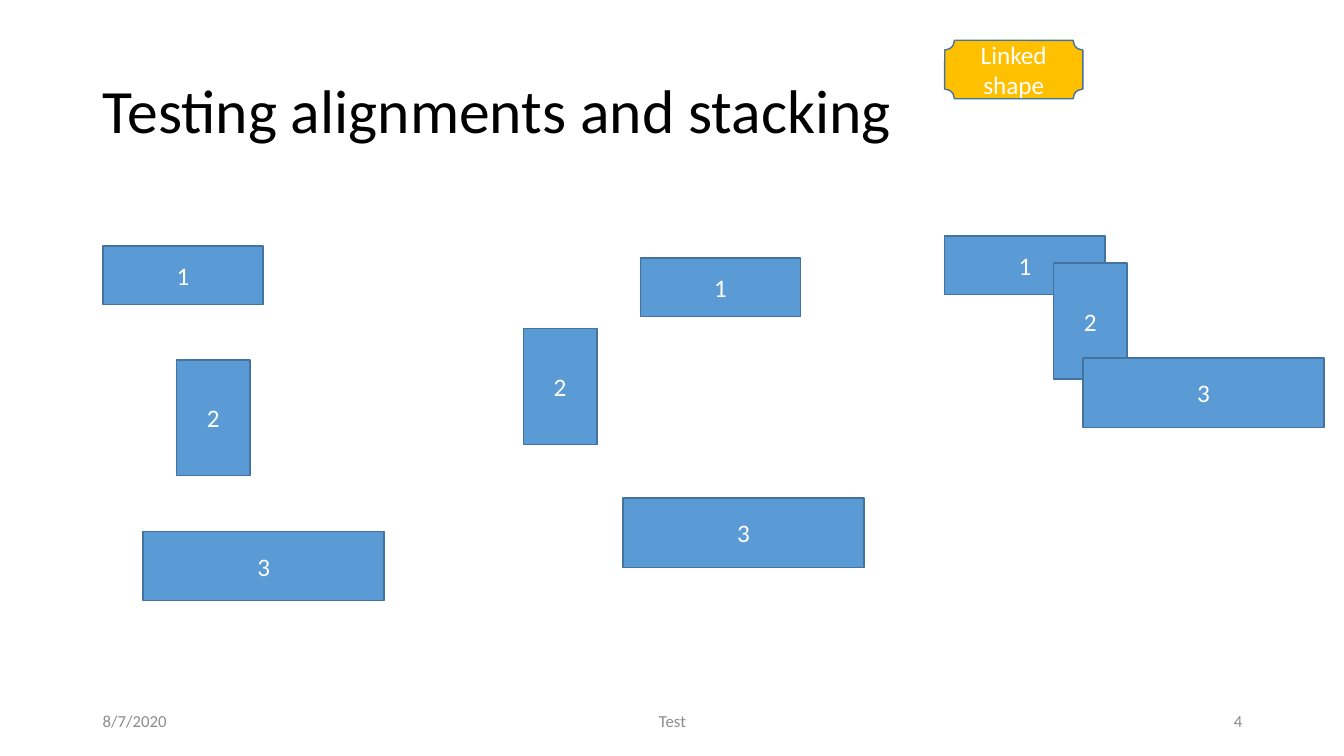
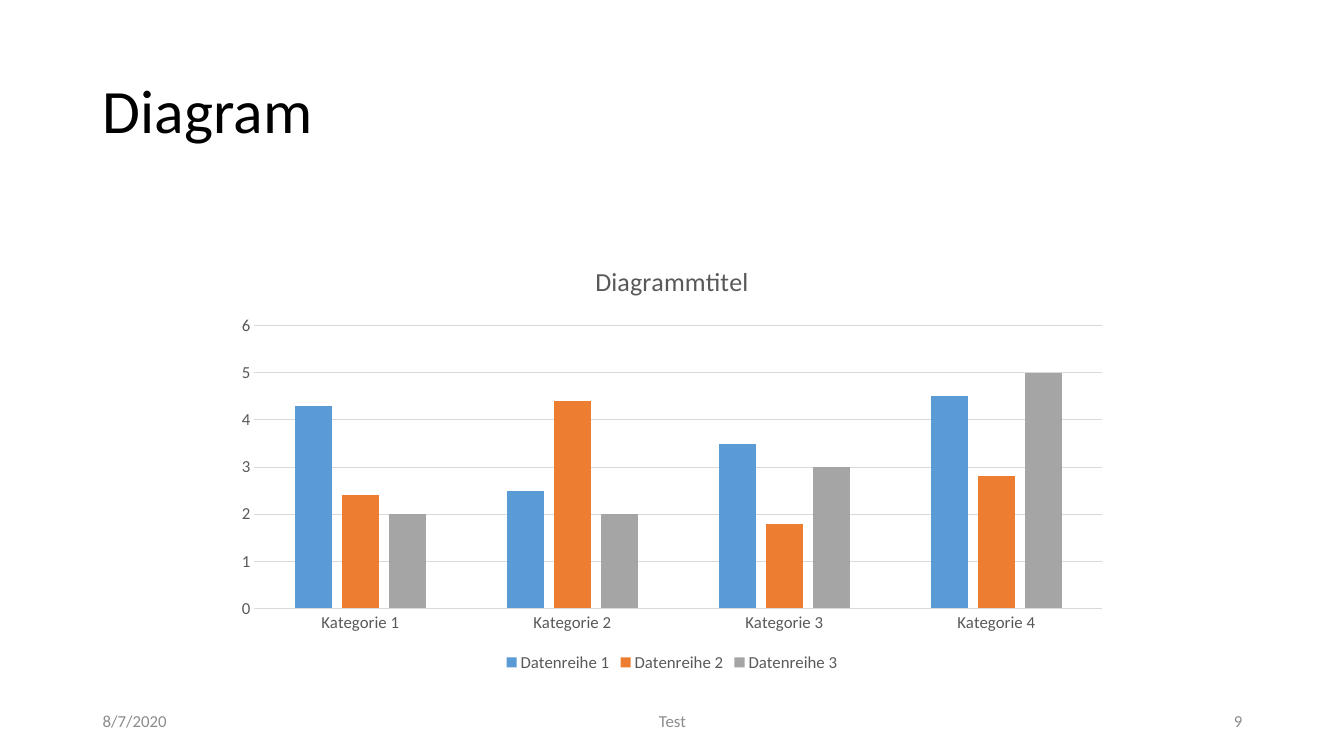
"""Build two test slides: stacked shapes and a column chart."""
from dataclasses import dataclass

from pptx import Presentation
from pptx import util as u
from pptx.chart import data as cd
from pptx.dml.color import RGBColor
from pptx.enum import chart as ch
from pptx.enum import shapes, text


@dataclass(frozen=True)
class Theme:
    font: str = "Calibri"
    title: str = "000000"
    footer: str = "8C8C8C"
    label: str = "FFFFFF"
    box: str = "5B9BD5"
    outline: str = "43739E"
    plaque: str = "FFC000"
    chart_text: str = "595959"
    grid: str = "D9D9D9"
    series: tuple[str, ...] = ("5B9BD5", "ED7D31", "A5A5A5")
    title_size: float = 44
    label_size: float = 18
    chart_title_size: float = 18.6
    small_size: float = 12


@dataclass(frozen=True)
class Area:
    x: float
    y: float
    w: float
    h: float

    def lengths(self) -> tuple[u.Length, ...]:
        return tuple(u.Inches(v) for v in (self.x, self.y, self.w, self.h))


@dataclass(frozen=True)
class Label:
    words: str
    area: Area
    fill: str
    kind: shapes.MSO_SHAPE = shapes.MSO_SHAPE.RECTANGLE


THEME = Theme()
TITLE = Area(0.92, 0.4, 11.5, 1.45)
FOOTER_Y, FOOTER_H = 6.95, 0.4
BOX_SIZES = ((1.59, 0.58), (0.73, 1.15), (2.39, 0.69))
BOX_GROUPS = (
    ((1.02, 2.44), (1.75, 3.57), (1.42, 5.27)),
    ((6.35, 2.56), (5.19, 3.26), (6.18, 4.94)),
    ((9.37, 2.34), (10.45, 2.61), (10.74, 3.55)),
)
LINKED = Label("Linked shape", Area(9.37, 0.4, 1.37, 0.58), THEME.plaque,
               shapes.MSO_SHAPE.PLAQUE)
CHART_AREA = Area(2.22, 2.43, 8.89, 4.28)
SERIES_VALUES = ((4.3, 2.5, 3.5, 4.5), (2.4, 4.4, 1.8, 2.8), (2, 2, 3, 5))


def rgb(code: str) -> RGBColor:
    return RGBColor.from_string(code)


def style_font(font, size: float, color: str) -> None:
    font.name = THEME.font
    font.size = u.Pt(size)
    font.bold = False
    font.color.rgb = rgb(color)


def write(tf, words: str, size: float, color: str, align: text.PP_ALIGN):
    tf.word_wrap = True
    tf.auto_size = text.MSO_AUTO_SIZE.NONE
    tf.vertical_anchor = text.MSO_ANCHOR.MIDDLE
    p = tf.paragraphs[0]
    p.alignment = align
    r = p.add_run()
    r.text = words
    style_font(r.font, size, color)
    return p


def add_footer(s, number: int) -> None:
    parts = (
        ("8/7/2020", 0.92, 3, text.PP_ALIGN.LEFT),
        ("Test", 4.42, 4.5, text.PP_ALIGN.CENTER),
        (str(number), 9.42, 3, text.PP_ALIGN.RIGHT),
    )
    for words, x, w, align in parts:
        sp = s.shapes.add_textbox(*Area(x, FOOTER_Y, w, FOOTER_H).lengths())
        write(sp.text_frame, words, THEME.small_size, THEME.footer, align)


def add_slide(prs, title: str, number: int):
    s = prs.slides.add_slide(prs.slide_layouts.get_by_name("Title Only"))
    sp = s.shapes.title
    sp.left, sp.top, sp.width, sp.height = TITLE.lengths()
    p = write(sp.text_frame, title, THEME.title_size, THEME.title, text.PP_ALIGN.LEFT)
    p.line_spacing = 0.9
    add_footer(s, number)
    return s


def add_label(s, label: Label) -> None:
    sp = s.shapes.add_shape(label.kind, *label.area.lengths())
    sp.shadow.inherit = False
    sp.fill.solid()
    sp.fill.fore_color.rgb = rgb(label.fill)
    sp.line.color.rgb = rgb(THEME.outline)
    sp.line.width = u.Pt(1)
    write(sp.text_frame, label.words, THEME.label_size, THEME.label, text.PP_ALIGN.CENTER)


def style_axis(axis) -> None:
    axis.major_tick_mark = axis.minor_tick_mark = ch.XL_TICK_MARK.NONE
    style_font(axis.tick_labels.font, THEME.small_size, THEME.chart_text)


def style_line(line) -> None:
    line.color.rgb = rgb(THEME.grid)
    line.width = u.Pt(0.75)


def add_column_chart(s) -> None:
    data = cd.CategoryChartData()
    data.categories = [f"Kategorie {i}" for i in range(1, 5)]
    for i, values in enumerate(SERIES_VALUES, 1):
        data.add_series(f"Datenreihe {i}", values)
    chart = s.shapes.add_chart(ch.XL_CHART_TYPE.COLUMN_CLUSTERED,
                               *CHART_AREA.lengths(), data).chart
    style_font(chart.font, THEME.small_size, THEME.chart_text)

    chart.has_title = True
    r = chart.chart_title.text_frame.paragraphs[0].add_run()
    r.text = "Diagrammtitel"
    style_font(r.font, THEME.chart_title_size, THEME.chart_text)
    chart.chart_title.include_in_layout = False

    chart.has_legend = True
    chart.legend.position = ch.XL_LEGEND_POSITION.BOTTOM
    chart.legend.include_in_layout = False
    style_font(chart.legend.font, THEME.small_size, THEME.chart_text)

    cat, val = chart.category_axis, chart.value_axis
    style_axis(cat)
    style_axis(val)
    style_line(cat.format.line)
    val.format.line.fill.background()
    val.has_major_gridlines = True
    style_line(val.major_gridlines.format.line)
    val.minimum_scale, val.maximum_scale, val.major_unit = 0, 6, 1

    plot = chart.plots[0]
    plot.vary_by_categories = False
    plot.gap_width, plot.overlap = 219, -27
    for series, color in zip(plot.series, THEME.series):
        series.format.fill.solid()
        series.format.fill.fore_color.rgb = rgb(color)


def main() -> None:
    prs = Presentation()
    prs.slide_width, prs.slide_height = u.Inches(13.33), u.Inches(7.5)

    s = add_slide(prs, "Testing alignments and stacking", 4)
    for group in BOX_GROUPS:
        for i, (corner, size) in enumerate(zip(group, BOX_SIZES), 1):
            add_label(s, Label(str(i), Area(*corner, *size), THEME.box))
    add_label(s, LINKED)

    s = add_slide(prs, "Diagram", 9)
    add_column_chart(s)
    prs.save("out.pptx")


if __name__ == "__main__":
    main()
